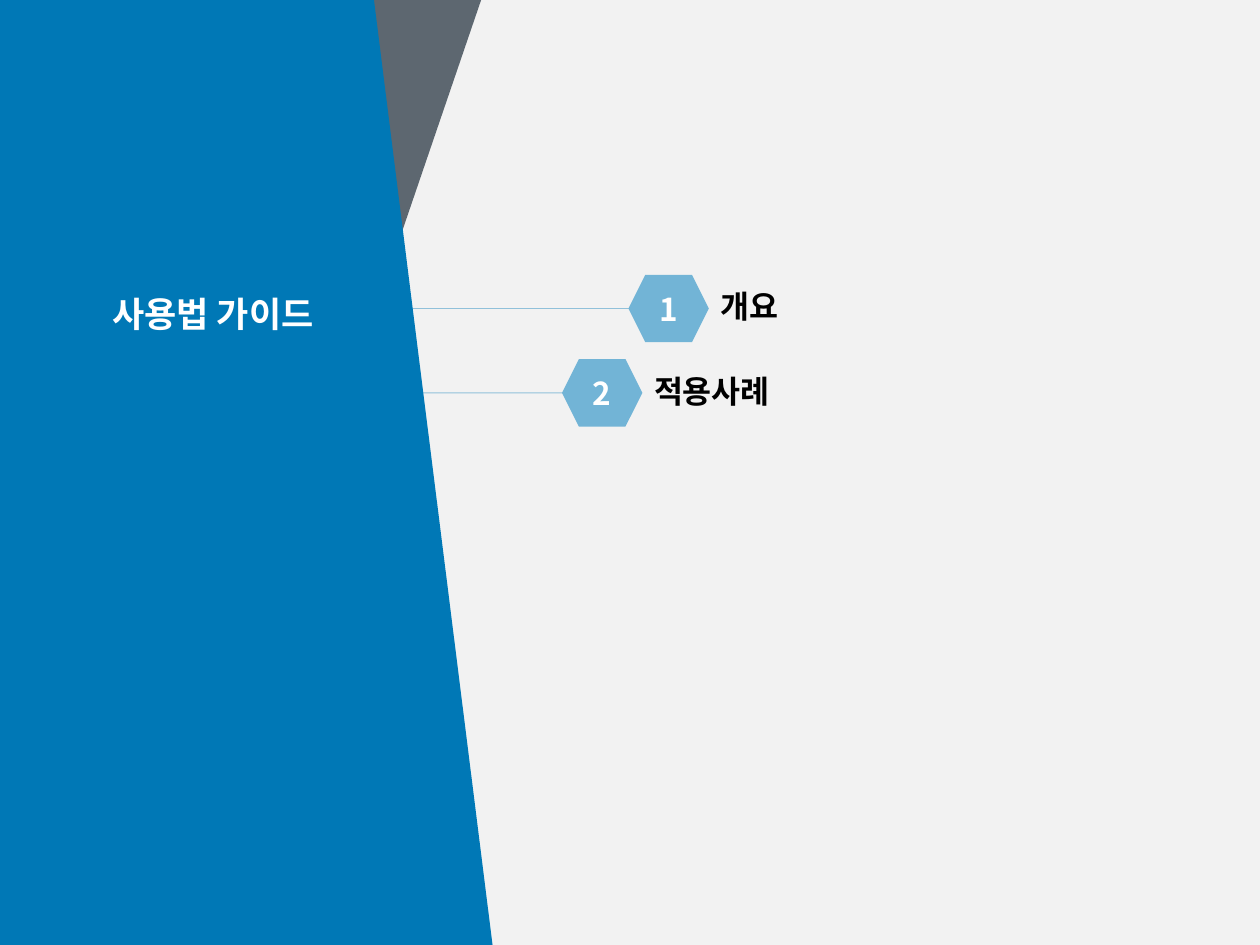
from lxml import etree
from pptx import Presentation
from pptx import util as u
from pptx.dml.color import RGBColor
from pptx.enum import shapes, text
from pptx.oxml.ns import qn

BLUE, PALE, SLATE = "0078B6", "72B4D6", "434F5A"
WHITE, BLACK, GREY = "FFFFFF", "000000", "F2F2F2"
HEX_W, HEX_H = 1.62, 1.36
LEAD = 5.82  # length of the line left of each hexagon


def paint(fill, color, alpha=None):
    """Fill with a solid colour; alpha is opacity in percent."""
    fill.solid()
    fill.fore_color.rgb = RGBColor.from_string(color)
    if alpha is not None:
        node = next(fill._xPr.iter(qn("a:srgbClr")))
        etree.SubElement(node, qn("a:alpha")).set("val", str(alpha * 1000))


def add_run(para, words, size, color, font):
    run = para.add_run()
    run.text = words
    run.font.size = u.Pt(size)
    run.font.bold = True
    run.font.name = font
    run.font.color.rgb = RGBColor.from_string(color)


def add_panel(slide, points, color, alpha=None):
    spots = [(u.Cm(x), u.Cm(y)) for x, y in points]
    pen = slide.shapes.build_freeform(*spots[0])
    pen.add_line_segments(spots[1:])
    panel = pen.convert_to_shape()
    panel.shadow.inherit = False
    paint(panel.fill, color, alpha)
    panel.line.fill.background()


def fill_holder(holder, box, words, size, color):
    """Place a placeholder in front and give it one line without a bullet."""
    holder.left, holder.top, holder.width, holder.height = map(u.Cm, box)
    holder.element.getparent().append(holder.element)
    frame = holder.text_frame
    frame.word_wrap = True
    frame.auto_size = text.MSO_AUTO_SIZE.NONE
    frame.vertical_anchor = text.MSO_ANCHOR.MIDDLE
    para = frame.paragraphs[0]
    para.alignment = text.PP_ALIGN.LEFT
    para.line_spacing = 0.9
    para.space_before = u.Pt(10)
    props = para._p.get_or_add_pPr()
    props.set("marL", "0")
    props.set("indent", "0")
    etree.SubElement(props, qn("a:buNone"))
    add_run(para, words, size, color, "Calibri")


def add_badge(slide, x, y, label):
    badge = slide.shapes.add_shape(
        shapes.MSO_SHAPE.HEXAGON, u.Cm(x), u.Cm(y), u.Cm(HEX_W), u.Cm(HEX_H))
    badge.shadow.inherit = False
    paint(badge.fill, PALE)
    badge.line.fill.background()
    frame = badge.text_frame
    frame.vertical_anchor = text.MSO_ANCHOR.MIDDLE
    para = frame.paragraphs[0]
    para.alignment = text.PP_ALIGN.CENTER
    add_run(para, label, 18, WHITE, "Noto Sans CJK KR")


def add_lead(slide, x, y):
    line = slide.shapes.add_connector(
        shapes.MSO_CONNECTOR.STRAIGHT, u.Cm(x), u.Cm(y), u.Cm(x - LEAD), u.Cm(y))
    line.line.width = u.Pt(0.5)
    paint(line.line.fill, BLUE, 40)
    etree.SubElement(line.element.spPr, qn("a:effectLst"))


def main():
    deck = Presentation()
    deck.slide_width, deck.slide_height = u.Cm(25.4), u.Cm(19.05)
    slide = deck.slides.add_slide(deck.slide_layouts[3])
    paint(slide.background.fill, GREY)
    title, *bodies = list(slide.placeholders)

    add_panel(slide, [(4.37, 0), (6.22, 10.19), (9.7, 0), (4.37, 0)], SLATE, 85)
    add_panel(slide, [(0, 19.05), (9.93, 19.05), (7.54, 0), (0, 0), (0, 19.05)], BLUE)
    fill_holder(title, (2.01, 5.82, 6.22, 1.12), "사용법 가이드", 20, WHITE)

    items = [("개요", 12.67, 5.54), ("적용사례", 11.33, 7.24)]
    for num, (body, (words, x, y)) in enumerate(zip(bodies, items), 1):
        fill_holder(body, (x + 1.6, y + 0.18, 9.4, 1), words, 18, BLACK)
        add_badge(slide, x, y, str(num))
        add_lead(slide, x, y + HEX_H / 2)

    deck.save("out.pptx")


if __name__ == "__main__":
    main()
